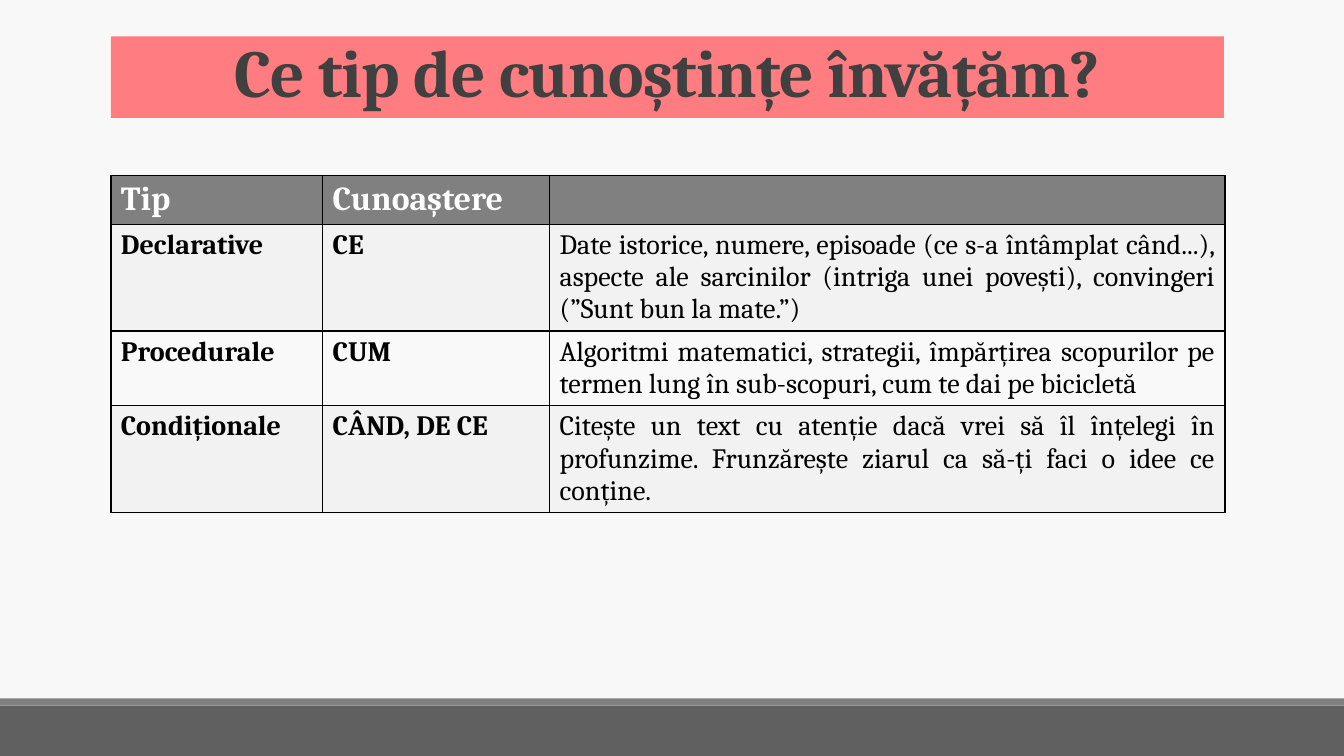
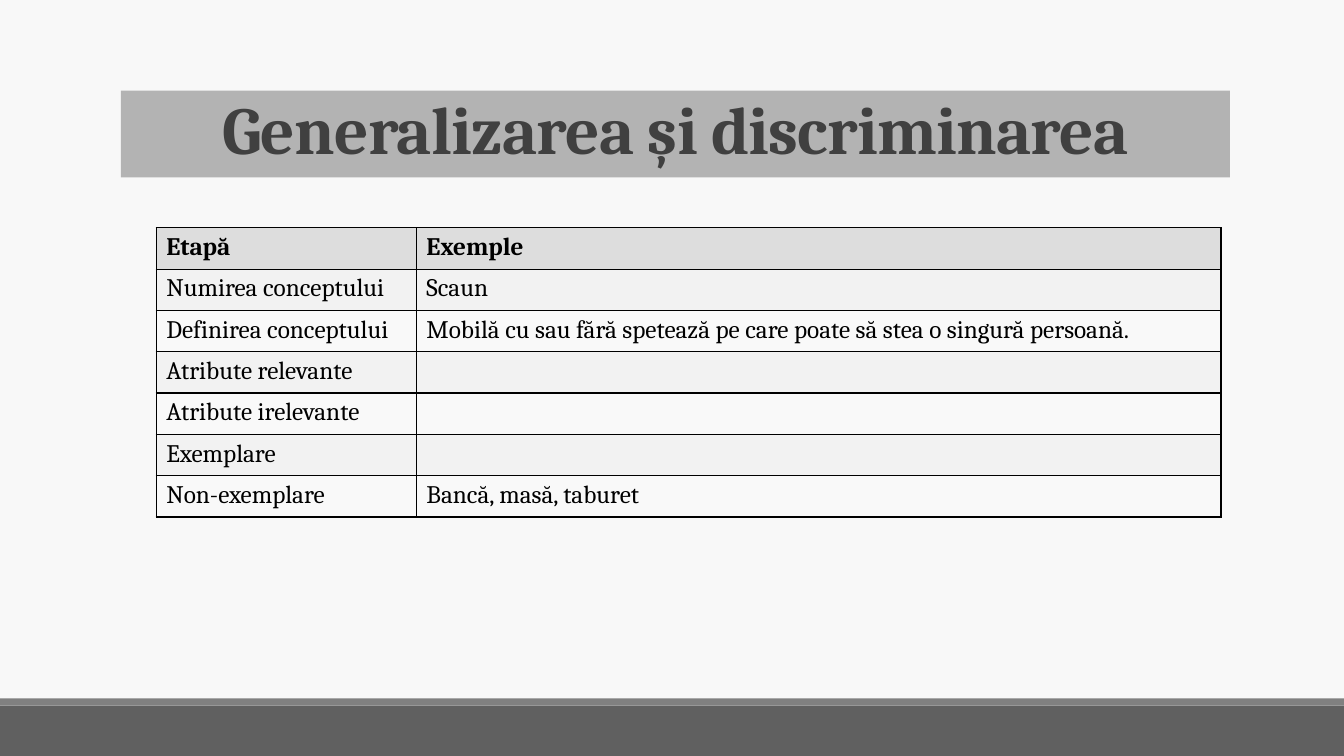
from dataclasses import dataclass

from lxml import etree
from pptx import Presentation
from pptx.dml.color import RGBColor
from pptx.enum.shapes import MSO_SHAPE
from pptx.enum.text import MSO_ANCHOR, PP_ALIGN
from pptx.oxml.ns import qn
from pptx.util import Inches, Pt

RECTANGLE = MSO_SHAPE.RECTANGLE
MIDDLE = MSO_ANCHOR.MIDDLE
LEFT, CENTER, JUSTIFY = PP_ALIGN.LEFT, PP_ALIGN.CENTER, PP_ALIGN.JUSTIFY

FONT = "Cambria"
BACKGROUND, DARK_GRAY, GRAY = "F8F8F8", "606060", "808080"
TITLE_INK, BLACK, WHITE = "404040", "000000", "FFFFFF"
ROW_FILLS = ("F2F2F2", "F9F9F9")
SLIDE_WIDTH, SLIDE_HEIGHT = 13.33, 7.5
ROW_HEIGHT = 0.41


@dataclass(frozen=True)
class Band:
    left: float
    top: float
    width: float
    height: float
    fill: str


@dataclass(frozen=True)
class Grid:
    left: float
    top: float
    columns: tuple[float, ...]
    rows: tuple[tuple[str, ...], ...]
    header_fill: str
    header_ink: str
    header_size: int
    body_size: int
    body_align: PP_ALIGN
    bold_columns: int = 0


@dataclass(frozen=True)
class Page:
    title: str
    title_band: Band
    grid: Grid


FOOTER = (
    Band(0, 7, SLIDE_WIDTH, 0.5, DARK_GRAY),
    Band(0, 6.93, SLIDE_WIDTH, 0.07, GRAY),
)

PAGES = (
    Page(
        "Ce tip de cunoștințe învățăm?",
        Band(1.1, 0.36, 11.04, 0.81, "FF7C80"),
        Grid(
            1.1, 1.74, (2.1, 2.25, 6.7),
            (
                ("Tip", "Cunoaștere", ""),
                ("Declarative", "CE",
                 "Date istorice, numere, episoade (ce s-a întâmplat când...), aspecte ale "
                 "sarcinilor (intriga unei povești), convingeri (”Sunt bun la mate.”)"),
                ("Procedurale", "CUM",
                 "Algoritmi matematici, strategii, împărțirea scopurilor pe termen lung "
                 "în sub-scopuri, cum te dai pe bicicletă"),
                ("Condiționale", "CÂND, DE CE",
                 "Citește un text cu atenție dacă vrei să îl înțelegi în profunzime. "
                 "Frunzărește ziarul ca să-ți faci o idee ce conține."),
            ),
            GRAY, WHITE, 24, 20, JUSTIFY, bold_columns=2,
        ),
    ),
    Page(
        "Generalizarea și discriminarea",
        Band(1.2, 0.9, 11, 0.86, "B3B3B3"),
        Grid(
            1.55, 2.26, (2.58, 7.98),
            (
                ("Etapă", "Exemple"),
                ("Numirea conceptului", "Scaun"),
                ("Definirea conceptului",
                 "Mobilă cu sau fără spetează pe care poate să stea o singură persoană."),
                ("Atribute relevante", ""),
                ("Atribute irelevante", ""),
                ("Exemplare", ""),
                ("Non-exemplare", "Bancă, masă, taburet"),
            ),
            "DDDDDD", BLACK, 18, 18, LEFT,
        ),
    ),
)


def rgb(color: str) -> RGBColor:
    return RGBColor.from_string(color)


def paint(target, color: str) -> None:
    target.fill.solid()
    target.fill.fore_color.rgb = rgb(color)


def write(paragraph, text: str, size: int, color: str, bold: bool, align: PP_ALIGN):
    paragraph.alignment = align
    run = paragraph.add_run()
    run.text = text
    text_format = {"name": FONT, "size": Pt(size), "bold": bold}
    for attribute, value in text_format.items():
        setattr(run.font, attribute, value)
    run.font.color.rgb = rgb(color)
    return run


def add_band(slide, band: Band):
    lengths = (band.left, band.top, band.width, band.height)
    shape = slide.shapes.add_shape(RECTANGLE, *map(Inches, lengths))
    shape.shadow.inherit = False
    paint(shape, band.fill)
    shape.line.fill.background()
    return shape


def add_title(slide, text: str, band: Band) -> None:
    frame = add_band(slide, band).text_frame
    frame.word_wrap = True
    frame.vertical_anchor = MIDDLE
    paragraph = frame.paragraphs[0]
    paragraph.line_spacing = 0.85
    run = write(paragraph, text, 48, TITLE_INK, True, CENTER)
    # Letter spacing in hundredths of a point
    run.font._element.set("spc", "-50")


def add_borders(cell) -> None:
    properties = cell._tc.get_or_add_tcPr()
    # Border elements come before the cell fill
    for position, side in enumerate(("a:lnL", "a:lnR", "a:lnT", "a:lnB")):
        line = etree.Element(qn(side), w=str(Pt(1)))
        fill = etree.SubElement(line, qn("a:solidFill"))
        etree.SubElement(fill, qn("a:srgbClr"), val=BLACK)
        properties.insert(position, line)


def add_grid(slide, grid: Grid) -> None:
    row_count = len(grid.rows)
    table = slide.shapes.add_table(
        row_count, len(grid.columns), Inches(grid.left), Inches(grid.top),
        Inches(sum(grid.columns)), Inches(ROW_HEIGHT * row_count),
    ).table
    table.first_row = table.horz_banding = False
    for column, width in zip(table.columns, grid.columns):
        column.width = Inches(width)

    for row_index, row in enumerate(grid.rows):
        is_header = row_index == 0
        if is_header:
            fill, ink = grid.header_fill, grid.header_ink
            size, align = grid.header_size, LEFT
        else:
            fill, ink = ROW_FILLS[(row_index - 1) % 2], BLACK
            size, align = grid.body_size, grid.body_align
        for column_index, text in enumerate(row):
            cell = table.cell(row_index, column_index)
            paint(cell, fill)
            add_borders(cell)
            if text:
                bold = is_header or column_index < grid.bold_columns
                write(cell.text_frame.paragraphs[0], text, size, ink, bold, align)


def main() -> None:
    presentation = Presentation()
    presentation.slide_width = Inches(SLIDE_WIDTH)
    presentation.slide_height = Inches(SLIDE_HEIGHT)
    paint(presentation.slide_master.background, BACKGROUND)
    blank_layout = presentation.slide_layouts[6]

    for page in PAGES:
        slide = presentation.slides.add_slide(blank_layout)
        for band in FOOTER:
            add_band(slide, band)
        add_title(slide, page.title, page.title_band)
        add_grid(slide, page.grid)

    presentation.save("out.pptx")


if __name__ == "__main__":
    main()
